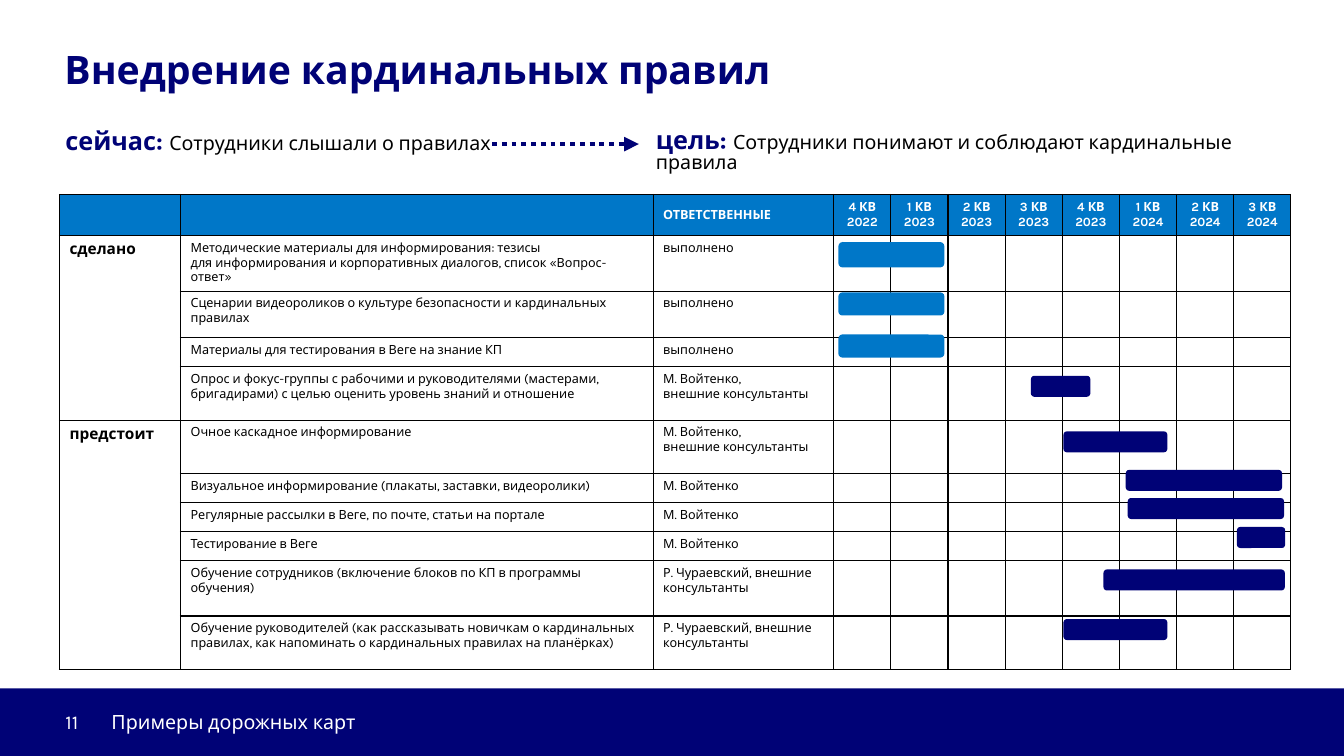
from lxml.etree import SubElement as Sub
from pptx import Presentation
from pptx.dml.color import RGBColor
from pptx.enum.dml import MSO_LINE as Dash
from pptx.enum.shapes import MSO_CONNECTOR as Link, MSO_SHAPE as Kind
from pptx.enum.text import MSO_ANCHOR as Anchor, MSO_AUTO_SIZE as Fit, PP_ALIGN as Align
from pptx.oxml.ns import qn
from pptx.util import Cm, Pt

NAVY, BLUE, WHITE, BLACK = "000276", "0077C8", "FFFFFF", "000000"

HEAD = ["", "", "ОТВЕТСТВЕННЫЕ"] + [f"{q % 4 + 1} КВ {2022 + q // 4}" for q in range(3, 11)]
DONE, VOY, CHUR = "выполнено", "М. Войтенко", "Р. Чураевский, внешние консультанты"
TEAM = VOY + ", \vвнешние консультанты"

# row height, stage, task, owner
TASKS = [
    (1.39, "сделано", "Методические материалы для информирования: тезисы\n"
     "для информирования и корпоративных диалогов, список «Вопрос-ответ»", DONE),
    (1.17, "", "Сценарии видеороликов о культуре безопасности и кардинальных правилах", DONE),
    (0.73, "", "Материалы для тестирования в Веге на знание КП", DONE),
    (1.35, "", "Опрос и фокус-группы с рабочими и руководителями (мастерами, бригадирами) "
     "с целью оценить уровень знаний и отношение", TEAM),
    (1.35, "предстоит", "Очное каскадное информирование", TEAM),
    (0.73, "", "Визуальное информирование (плакаты, заставки, видеоролики)", VOY),
    (0.73, "", "Регулярные рассылки в Веге, по почте, статьи на портале", VOY),
    (0.73, "", "Тестирование в Веге", VOY),
    (1.39, "", "Обучение сотрудников (включение блоков по КП в программы обучения)", CHUR),
    (1.35, "", "Обучение руководителей (как рассказывать новичкам о кардинальных правилах, "
     "как напоминать о кардинальных правилах на планёрках)", CHUR),
]
STAGES = [(1, 4), (5, 10)]

# left, top, width, height, colour
BARS = [
    (21.13, 6.1, 2.67, 0.64, BLUE),
    (21.13, 7.37, 2.67, 0.58, BLUE),
    (21.13, 8.43, 2.67, 0.58, BLUE),
    (25.98, 9.47, 1.5, 0.53, NAVY),
    (26.8, 10.87, 2.62, 0.53, NAVY),
    (28.37, 11.84, 3.94, 0.53, NAVY),
    (28.42, 12.55, 3.94, 0.53, NAVY),
    (31.17, 13.28, 1.22, 0.53, NAVY),
    (27.81, 14.35, 4.57, 0.53, NAVY),
    (26.8, 15.6, 2.62, 0.53, NAVY),
]


def tint(code):
    return RGBColor.from_string(code)


def assign(item, values):
    """Set each named attribute of item."""
    for name, value in values.items():
        setattr(item, name, value)


def style(size, color=BLACK, bold=False):
    return dict(size=size, color=color, bold=bold)


class Board:
    font = "Karla"

    def __init__(self, deck):
        self.slide = deck.slides.add_slide(deck.slide_layouts[5])
        self.shapes = self.slide.shapes

    def fill(self, frame, paras, **look):
        """Fill a frame with paragraphs, each a list of (text, style) runs."""
        for i, runs in enumerate(paras):
            para = frame.add_paragraph() if i else frame.paragraphs[0]
            assign(para, look)
            for text, form in runs:
                for j, part in enumerate(text.split("\v")):
                    if j:
                        para.add_line_break()
                    run = para.add_run()
                    run.text = part
                    run.font.color.rgb = tint(form["color"])
                    assign(run.font, dict(name=self.font, size=Pt(form["size"]),
                                          bold=form["bold"]))

    def title(self, text, *box):
        holder = self.shapes.title
        assign(holder, dict(zip(("left", "top", "width", "height"), map(Cm, box))))
        assign(holder.text_frame, dict(word_wrap=True, auto_size=Fit.SHAPE_TO_FIT_TEXT,
                                       vertical_anchor=Anchor.TOP))
        self.fill(holder.text_frame, [[(text, style(28, NAVY, True))]],
                  alignment=Align.LEFT, line_spacing=0.8)

    def text(self, runs, *box, anchor=Anchor.TOP, tab=None, **look):
        frame = self.shapes.add_textbox(*map(Cm, box)).text_frame
        assign(frame, dict(word_wrap=True, vertical_anchor=anchor))
        if tab:
            props = frame.paragraphs[0]._p.get_or_add_pPr()
            Sub(Sub(props, qn("a:tabLst")), qn("a:tab"), pos=str(Cm(tab)), algn="l")
        self.fill(frame, [runs], **look)

    def block(self, kind, color, *box):
        shape = self.shapes.add_shape(kind, *map(Cm, box))
        shape.shadow.inherit = False
        shape.fill.solid()
        shape.fill.fore_color.rgb = tint(color)
        shape.line.fill.background()

    def arrow(self, *ends):
        link = self.shapes.add_connector(Link.STRAIGHT, *map(Cm, ends))
        link.line.color.rgb = tint(NAVY)
        assign(link.line, dict(width=Pt(3.5), dash_style=Dash.ROUND_DOT))
        props = link._element.spPr
        Sub(props.find(qn("a:ln")), qn("a:tailEnd"), type="triangle")
        Sub(props, qn("a:effectLst"))

    def cell(self, cell, text, form, fill=None, **look):
        props = cell._tc.get_or_add_tcPr()
        for side in "LRTB":
            edge = Sub(props, qn(f"a:ln{side}"), w=str(Pt(1)))
            Sub(Sub(edge, qn("a:solidFill")), qn("a:srgbClr"), val=BLACK)
        if fill:
            cell.fill.solid()
            cell.fill.fore_color.rgb = tint(fill)
            cell.vertical_anchor = Anchor.MIDDLE
        else:
            cell.fill.background()
        if text:
            self.fill(cell.text_frame, [[(part, form)] for part in text.split("\n")], **look)
        else:
            Sub(cell.text_frame.paragraphs[0]._p, qn("a:endParaRPr"), sz="900")

    def plan(self, left, top, widths, heights):
        """Draw the road map table."""
        size = Cm(sum(widths)), Cm(sum(heights))
        grid = self.shapes.add_table(len(heights), len(widths), Cm(left), Cm(top), *size).table
        assign(grid, dict(first_row=False, horz_banding=False))
        for col, width in zip(grid.columns, widths):
            col.width = Cm(width)
        for row, height in zip(grid.rows, heights):
            row.height = Cm(height)
        for c, text in enumerate(HEAD):
            self.cell(grid.cell(0, c), text, style(9, WHITE, True), BLUE,
                      alignment=Align.CENTER if c > 2 else Align.LEFT)
        for r, (_, *words) in enumerate(TASKS, 1):
            for c in range(len(widths)):
                form = style(9) if c else style(11, BLACK, True)
                self.cell(grid.cell(r, c), words[c] if c < 3 else "", form)
        for first, last in STAGES:
            grid.cell(first, 0).merge(grid.cell(last, 0))


def main():
    deck = Presentation()
    assign(deck, dict(slide_width=Cm(33.87), slide_height=Cm(19.05)))
    board = Board(deck)
    board.title("Внедрение кардинальных правил", 1.37, 1.24, 31.88, 1.22)
    board.plan(1.5, 4.9, [3.05, 11.91, 4.55] + [1.44] * 8, [1.04] + [t[0] for t in TASKS])
    for *box, color in BARS:
        board.block(Kind.ROUNDED_RECTANGLE, color, *box)
    board.block(Kind.RECTANGLE, NAVY, 0, 17.35, 33.87, 1.7)
    board.text([("11\tПримеры дорожных карт", style(14, WHITE))],
               1.4, 17.68, 8.94, 1.02, anchor=Anchor.MIDDLE, tab=1.16)
    for label, words, *box in [
        ("сейчас: ", "Сотрудники слышали о правилах", 1.4, 3.18, 12.85, 1.35),
        ("цель: ", "Сотрудники понимают и соблюдают кардинальные правила",
         16.28, 3.15, 16.28, 1.35),
    ]:
        board.text([(label, style(18, NAVY, True)), (words, style(14))], *box, line_spacing=0.8)
    board.arrow(12.4, 3.63, 16.1, 3.63)
    deck.save("out.pptx")


if __name__ == "__main__":
    main()
